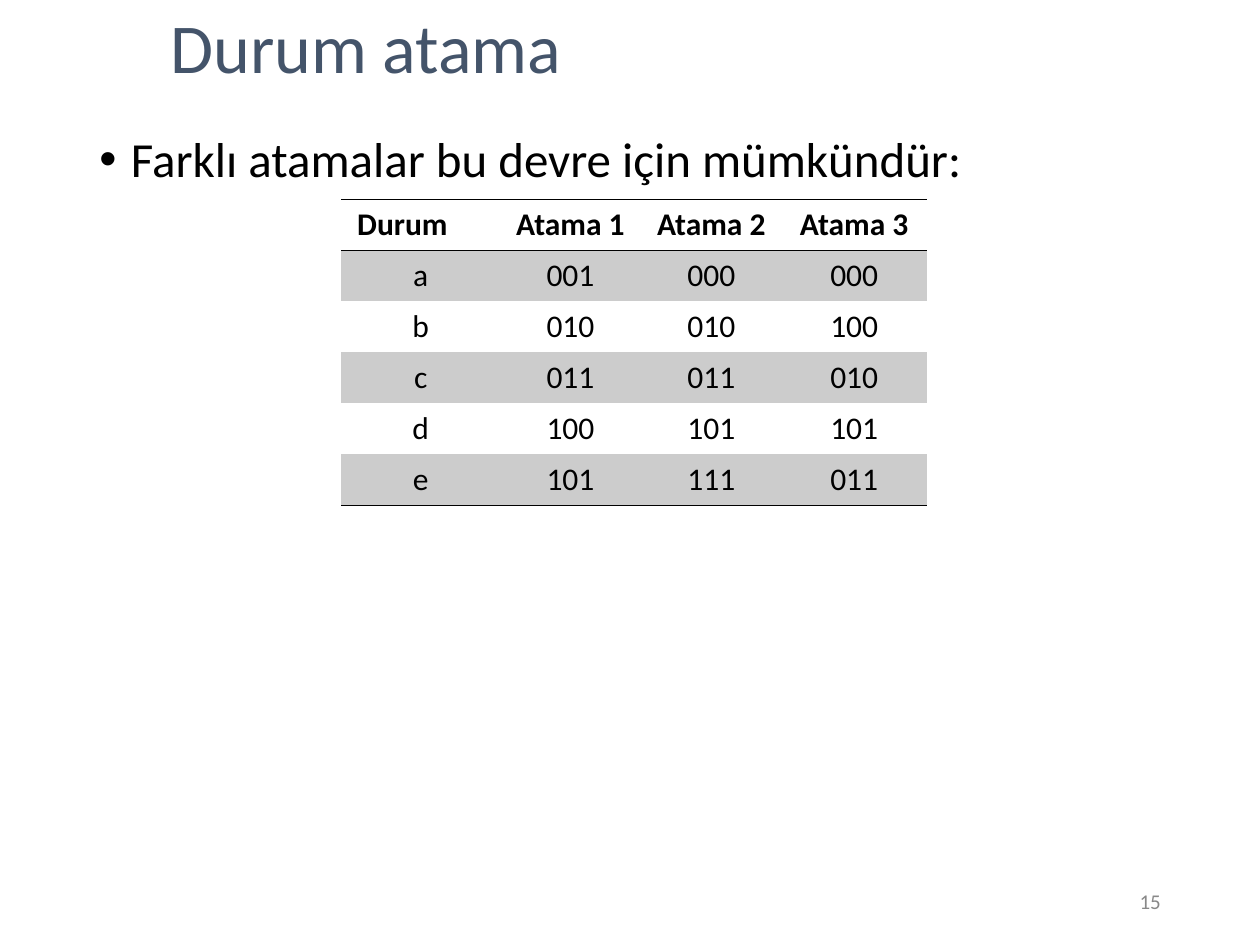
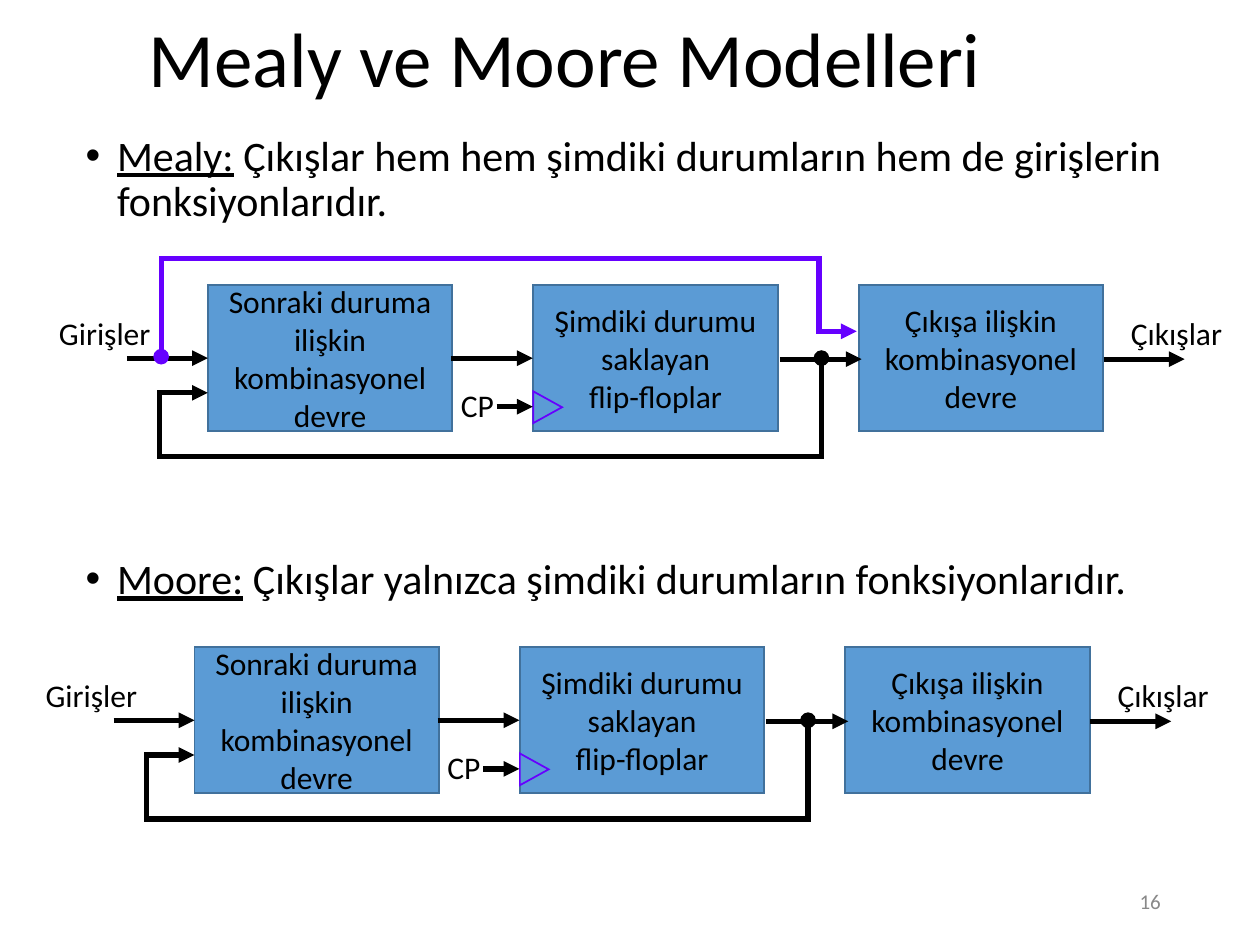
from lxml.etree import SubElement as Sub
from pptx import Presentation
from pptx.dml.color import RGBColor as Rgb
from pptx.enum.shapes import MSO_CONNECTOR as Conn, MSO_SHAPE as Form
from pptx.enum.text import MSO_ANCHOR as Anchor, MSO_AUTO_SIZE as Fit, PP_ALIGN as Align
from pptx.oxml.ns import qn
from pptx.util import Cm, Pt

HUES = {"black": "000000", "slate": "44546A", "grey": "898989", "band": "CCCCCC",
        "blue": "5B9BD5", "edge": "41719C", "violet": "6600FF"}
FONT = "Calibri"


def say(para, text, size, hue="black", bold=False, under=False):
    run = para.add_run()
    run.text = text
    font = run.font
    font.name, font.size, font.bold, font.underline = FONT, Pt(size), bold, under
    font.color.rgb = Rgb.from_string(HUES[hue])


def ink(shape, hue, width, head=None, tail=None):
    shape.line.color.rgb = Rgb.from_string(HUES[hue])
    shape.line.width = Pt(width)
    line = shape.line._ln
    Sub(line, qn("a:miter"), lim="800000")
    for tag, kind in (("a:headEnd", head), ("a:tailEnd", tail)):
        if kind:
            Sub(line, qn(tag), type=kind)
    Sub(shape._element.spPr, qn("a:effectLst"))


deck = Presentation()
deck.slide_width, deck.slide_height = Cm(25.4), Cm(19.05)

pages = [
    {"no": "15", "title": "Durum atama", "size": 40, "hue": "slate",
     "anchor": Anchor.BOTTOM, "space": 1.0, "head": (3.18, 0.2, 21.59, 1.7),
     "body": (1.75, 2.59, 22.07, 14.81), "text": 28,
     "list": [("", "Farklı atamalar bu devre için mümkündür:", 10)]},
    {"no": "16", "title": "Mealy ve Moore Modelleri", "size": 44, "hue": "black",
     "anchor": Anchor.MIDDLE, "space": 0.9, "head": (2.74, 0.2, 22.07, 2.11),
     "body": (1.47, 2.59, 22.33, 12.4), "text": 24,
     "list": [("Mealy:", " Çıkışlar hem hem şimdiki durumların hem de girişlerin fonksiyonlarıdır.", 10),
              ("Moore:", " Çıkışlar yalnızca şimdiki durumların fonksiyonlarıdır.", 190)]},
]

slides = []
for page in pages:
    slide = deck.slides.add_slide(deck.slide_layouts[1])
    slides.append(slide)
    title, body = slide.shapes.title, slide.placeholders[1]
    for holder, box in ((title, page["head"]), (body, page["body"])):
        holder.left, holder.top, holder.width, holder.height = map(Cm, box)
        holder.text_frame.auto_size = Fit.NONE

    title.text_frame.vertical_anchor = page["anchor"]
    para = title.text_frame.paragraphs[0]
    para.alignment, para.line_spacing = Align.LEFT, page["space"]
    say(para, page["title"], page["size"], page["hue"])

    frame = body.text_frame
    for i, (term, text, gap) in enumerate(page["list"]):
        para = frame.add_paragraph() if i else frame.paragraphs[0]
        para.line_spacing, para.space_before = 0.9, Pt(gap)
        props = para._p.get_or_add_pPr()
        props.set("marL", str(Pt(18)))
        props.set("indent", str(-Pt(18)))
        if term:
            say(para, term, page["text"], under=True)
        say(para, text, page["text"])

    frame = slide.shapes.add_textbox(Cm(17.93), Cm(17.65), Cm(5.72), Cm(1.02)).text_frame
    frame.word_wrap, frame.vertical_anchor = True, Anchor.MIDDLE
    frame.paragraphs[0].alignment = Align.RIGHT
    say(frame.paragraphs[0], page["no"], 12, "grey")

rows = [("Durum", "Atama 1", "Atama 2", "Atama 3"),
        ("a", "001", "000", "000"),
        ("b", "010", "010", "100"),
        ("c", "011", "011", "010"),
        ("d", "100", "101", "101"),
        ("e", "101", "111", "011")]
widths = [3.2, 2.84, 2.84, 2.92]
ruled = (0, 1, len(rows))
table = slides[0].shapes.add_table(len(rows), len(widths), Cm(6.88), Cm(4.01),
                                   Cm(sum(widths)), Cm(6.18)).table
table.first_row = table.horz_banding = False
table._tbl.tblPr.find(qn("a:tableStyleId")).text = "{2D5ABB26-0587-4C30-8999-92F81FD0307C}"
for col, width in zip(table.columns, widths):
    col.width = Cm(width)
for r, row in enumerate(rows):
    table.rows[r].height = Cm(1.03)
    for c, text in enumerate(row):
        cell = table.cell(r, c)
        para = cell.text_frame.paragraphs[0]
        para.alignment = Align.CENTER
        say(para, text, 18, bold=r == 0)
        for tag, edge in (("a:lnT", r), ("a:lnB", r + 1)):
            rule = Sub(cell._tc.get_or_add_tcPr(), qn(tag), w=str(Pt(0.45)))
            if edge in ruled:
                Sub(Sub(rule, qn("a:solidFill")), qn("a:srgbClr"), val=HUES["black"])
            else:
                Sub(rule, qn("a:noFill"))
        if r % 2:
            cell.fill.solid()
            cell.fill.fore_color.rgb = Rgb.from_string(HUES["band"])
        else:
            cell.fill.background()
corner = table.cell(0, 0)
corner.text_frame.paragraphs[0].alignment = Align.LEFT
corner.margin_left = Cm(0.32)

blocks = [["Sonraki duruma ilişkin kombinasyonel devre"],
          ["Şimdiki durumu saklayan", "flip-floplar"],
          ["Çıkışa ilişkin kombinasyonel devre"]]
arrows = [(-1.63, 0, 1.48), (4.9, 6.55, 1.48), (11.53, 13.18, 1.5),
          (18.06, 19.69, 1.5), (5.82, 6.55, 2.46)]
labels = [("CP", 4.85, 1.91, 1.25), ("Girişler", -3.25, 0.46, 2.45),
          ("Çıkışlar", 18.36, 0.47, 2.45)]
loop = ("black", [(12.37, 1.48), (12.37, 3.47), (-0.97, 3.47), (-0.97, 2.18), (0, 2.18)])
bypass = ("violet", [(-0.94, 1.45), (-0.94, -0.53), (12.32, -0.53), (12.32, 0.94), (13.08, 0.94)])

for x, y, wires in ((4.19, 5.74, [bypass, loop]), (3.92, 13.04, [loop])):
    group = slides[1].shapes.add_group_shape().shapes
    for i, lines in enumerate(blocks):
        block = group.add_shape(Form.RECTANGLE, Cm(x + 6.56 * i), Cm(y), Cm(4.93), Cm(2.95))
        block.fill.solid()
        block.fill.fore_color.rgb = Rgb.from_string(HUES["blue"])
        ink(block, "edge", 1)
        frame = block.text_frame
        frame.word_wrap, frame.vertical_anchor = True, Anchor.MIDDLE
        for j, text in enumerate(lines):
            para = frame.add_paragraph() if j else frame.paragraphs[0]
            para.alignment = Align.CENTER
            say(para, text, 18)

    clock = group.add_shape(Form.ISOSCELES_TRIANGLE, Cm(x + 6.53), Cm(y + 2.18), Cm(0.64), Cm(0.58))
    clock.rotation = 90
    clock.fill.solid()
    clock.fill.fore_color.rgb = Rgb.from_string(HUES["blue"])
    ink(clock, "violet", 1)

    for start, end, level in arrows:
        arrow = group.add_connector(Conn.STRAIGHT, Cm(x + start), Cm(y + level),
                                    Cm(x + end), Cm(y + level))
        ink(arrow, "black", 3, tail="triangle")

    for hue, points in wires:
        spots = [(Cm(x + px), Cm(y + py)) for px, py in points]
        pen = group.build_freeform(*spots[0])
        pen.add_line_segments(spots[1:], close=False)
        wire = pen.convert_to_shape()
        wire.fill.background()
        ink(wire, hue, 3, "oval", "triangle")

    for text, left, top, width in labels:
        frame = group.add_textbox(Cm(x + left), Cm(y + top), Cm(width), Cm(1.02)).text_frame
        frame.word_wrap, frame.auto_size = False, Fit.SHAPE_TO_FIT_TEXT
        say(frame.paragraphs[0], text, 18)

deck.save("out.pptx")
